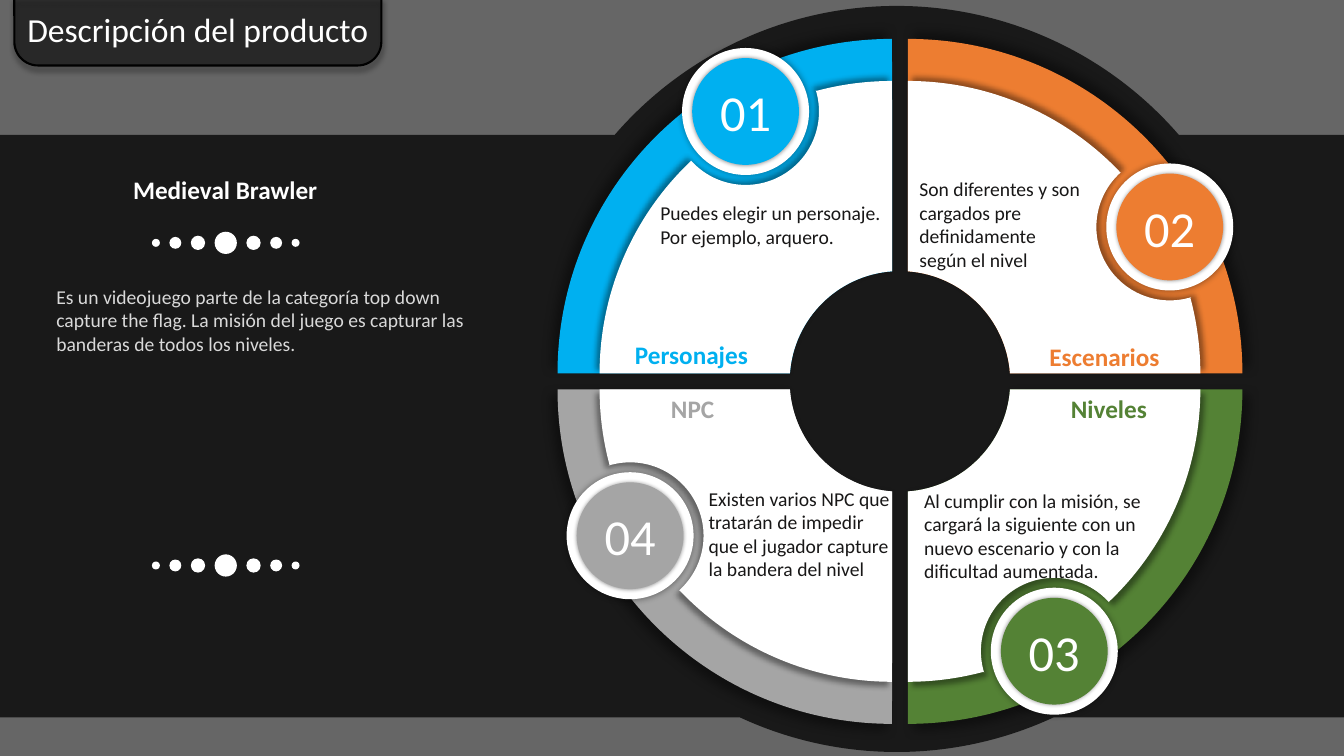
import math
from dataclasses import dataclass
from itertools import islice

from lxml import etree
from pptx import Presentation
from pptx.dml.color import RGBColor
from pptx.enum import shapes, text
from pptx.oxml.ns import qn
from pptx.util import Cm, Pt


@dataclass(frozen=True)
class Theme:
    font: str = "Calibri"
    page: str = "666666"
    black: str = "000000"
    white: str = "FFFFFF"
    ink: str = "181717"
    pale: str = "D9D9D9"
    blue: str = "00B0F0"
    orange: str = "ED7D31"
    green: str = "548235"
    gray: str = "A5A5A5"
    body: int = 14
    label: int = 18
    title: int = 24
    number: int = 36


T = Theme()


def arc(x, y, radius, start, end):
    """Segments of an arc: a start point, then Bézier triples; degrees run clockwise."""
    count = math.ceil(abs(end - start) / 90)
    step = math.radians(end - start) / count
    k = 4 / 3 * math.tan(step / 4)
    segments = []
    for i in range(count + 1):
        a = math.radians(start) + i * step
        c, n = radius * math.cos(a), radius * math.sin(a)
        if i:
            segments.append([leave, (x + c + k * n, y + n - k * c), (x + c, y + n)])
        else:
            segments.append([(x + c, y + n)])
        leave = (x + c - k * n, y + n + k * c)
    return segments


def paint(sp, color, alpha=100, shadow=None):
    """Fill without outline; shadow is (blur, distance, direction)."""
    sp.fill.solid()
    sp.fill.fore_color.rgb = RGBColor.from_string(color)
    sp.line.fill.background()
    sp.shadow.inherit = False
    spPr = sp.element.spPr
    if alpha < 100:
        clr = spPr.find(qn("a:solidFill")).find(qn("a:srgbClr"))
        etree.SubElement(clr, qn("a:alpha"), val=str(alpha * 1000))
    if shadow:
        blur, distance, direction = shadow
        outer = etree.SubElement(
            spPr.find(qn("a:effectLst")), qn("a:outerShdw"), blurRad=str(Pt(blur)),
            dist=str(Pt(distance)), dir=str(direction * 60000), algn="ctr", rotWithShape="0")
        clr = etree.SubElement(outer, qn("a:srgbClr"), val=T.black)
        etree.SubElement(clr, qn("a:alpha"), val="40000")


prs = Presentation()
prs.slide_width, prs.slide_height = Cm(33.87), Cm(19.05)
s = prs.slides.add_slide(prs.slide_layouts[5])
s.background.fill.solid()
s.background.fill.fore_color.rgb = RGBColor.from_string(T.page)

# Backdrop: a wide band merged with a disc
DISC_X, DISC_Y, DISC_R = 22.6, 9.55, 9.4
BAND_TOP, BAND_BOTTOM = 3.4, 18.08
top_angle = math.degrees(math.asin((DISC_Y - BAND_TOP) / DISC_R))
bottom_angle = math.degrees(math.asin((BAND_BOTTOM - DISC_Y) / DISC_R))
backdrop = [[(0, BAND_TOP)], *arc(DISC_X, DISC_Y, DISC_R, 180 + top_angle, 360 - top_angle),
            [(33.87, BAND_TOP)], [(33.87, BAND_BOTTOM)],
            *arc(DISC_X, DISC_Y, DISC_R, bottom_angle, 180 - bottom_angle), [(0, BAND_BOTTOM)]]
outlines = [(backdrop, T.black, 75, None)]

# Upper left quarter, measured from the hub; the others are turned by 90 degrees
HUB_X, HUB_Y, GAP = 22.68, 9.61, 0.2
BADGE_X, BADGE_Y = -3.89, -6.8
notch = arc(0, 0, 2.78, 265.9, 184.1)
ring = arc(-GAP, -GAP, 8.43, 180, 270) + notch
panel = (arc(-GAP, -GAP, 7.37, 180, 226.5) + arc(BADGE_X, BADGE_Y, 1.85, 138, -17)
         + arc(-GAP, -GAP, 7.37, 255, 270) + notch)
quarters = [T.blue, T.orange, T.green, T.gray]
badges = []
for i, color in enumerate(quarters):
    cos, sin = [(1, 0), (0, 1), (-1, 0), (0, -1)][i]
    ring_part, panel_part, badge = [
        [[(HUB_X + x * cos - y * sin, HUB_Y + x * sin + y * cos) for x, y in segment]
         for segment in part]
        for part in (ring, panel, [[(BADGE_X, BADGE_Y)]])]
    direction = (225 + 90 * i) % 360
    outlines += [(ring_part, color, 100, (8, 6, direction)),
                 (panel_part, T.white, 100, (4, 4, direction))]
    badges += badge[0]

for segments, color, alpha, shadow in outlines:
    pts = [(Cm(x), Cm(y)) for segment in segments for x, y in segment]
    builder = s.shapes.build_freeform(*pts[0])
    builder.add_line_segments(pts[1:], close=True)
    sp = builder.convert_to_shape()
    paint(sp, color, alpha, shadow)
    # Merge the three lines of each Bézier triple into one curve
    trace = next(sp.element.spPr.iter(qn("a:path")))
    lines = iter(trace.findall(qn("a:lnTo")))
    for segment in segments[1:]:
        first, *rest = islice(lines, len(segment))
        if rest:
            curve = etree.Element(qn("a:cubicBezTo"))
            trace.replace(first, curve)
            curve.append(first[0])
            for line in rest:
                curve.append(line[0])
                trace.remove(line)

# Numbered badges
for i, ((x, y), color) in enumerate(zip(badges, quarters), 1):
    group = s.shapes.add_group_shape()
    for size, fill, blur in ((3.2, T.white, 5), (2.69, color, 3)):
        sp = group.shapes.add_shape(shapes.MSO_SHAPE.OVAL, Cm(x - size / 2), Cm(y - size / 2),
                                    Cm(size), Cm(size))
        paint(sp, fill, shadow=(blur, 0, 0))
    tf = sp.text_frame
    tf.vertical_anchor = text.MSO_ANCHOR.MIDDLE
    p = tf.paragraphs[0]
    p.text = f"{i:02}"
    p.alignment = text.PP_ALIGN.CENTER
    p.font.name, p.font.size = T.font, Pt(T.number)
    p.font.color.rgb = RGBColor.from_string(T.white)

# Rows of dots, symmetric about the middle one
DOTS_X = 5.69
for y in (6.12, 14.25):
    group = s.shapes.add_group_shape()
    for offset, size in ((0, 0.56), (0.7, 0.36), (1.27, 0.3), (1.76, 0.2)):
        for dx in {offset, -offset}:
            sp = group.shapes.add_shape(shapes.MSO_SHAPE.OVAL, Cm(DOTS_X + dx - size / 2),
                                        Cm(y - size / 2), Cm(size), Cm(size))
            paint(sp, T.white)

# Title tab hanging from the top edge
tab = s.shapes.add_shape(shapes.MSO_SHAPE.ROUND_2_SAME_RECTANGLE,
                         Cm(0.36), Cm(-0.05), Cm(9.25), Cm(1.7))
tab.rotation = 180
tab.adjustments[0] = 0.352
paint(tab, T.black, 50, (4, 3, 90))
tab.line.color.rgb = RGBColor.from_string(T.black)
tab.line.width = Pt(1.5)
title = s.shapes.title
s.shapes.element.append(title.element)
title.left, title.top, title.width, title.height = Cm(0.36), Cm(0.1), Cm(9.25), Cm(1.27)

LEFT, CENTER = text.PP_ALIGN.LEFT, text.PP_ALIGN.CENTER
TOP, MIDDLE = text.MSO_ANCHOR.TOP, text.MSO_ANCHOR.MIDDLE
WIDE, SLIM = (0.25, 0.13), (0.18, 0.09)
descriptions = [
    ((16.46, 4.98, 6.12, 1.37), "Puedes elegir un personaje. Por ejemplo, arquero."),
    ((22.99, 4.37, 4.5, 2.57), "Son diferentes y son cargados pre definidamente según el nivel"),
    ((23.11, 12.22, 6.12, 2.57), "Al cumplir con la misión, se cargará la siguiente con un "
                                 "nuevo escenario y con la dificultad aumentada."),
    ((17.68, 12.17, 4.95, 2.57), "Existen varios NPC que tratarán de impedir que el jugador "
                                 "capture la bandera del nivel"),
]
labels = [(14.96, 8.46, "Personajes"), (25.37, 8.51, "Escenarios"),
          (25.48, 9.83, "Niveles"), (14.99, 9.83, "NPC")]
texts = [(box, words, T.body, T.ink, LEFT, TOP, SLIM) for box, words in descriptions]
texts += [((x, y, 4.93, 0.94), words, T.label, color, CENTER, TOP, SLIM)
          for (x, y, words), color in zip(labels, quarters)]
texts += [
    ((2.64, 4.11, 6.07, 1.35), "Medieval Brawler", T.label, T.white, CENTER, MIDDLE, (0, 0)),
    ((1.17, 7.04, 11.2, 2.06), "Es un videojuego parte de la categoría top down capture the flag. "
     "La misión del juego es capturar las banderas de todos los niveles.",
     T.body, T.pale, LEFT, TOP, WIDE),
    (None, "Descripción del producto", T.title, T.white, CENTER, TOP, WIDE),
]
for box, words, size, color, align, anchor, (side, edge) in texts:
    sp = s.shapes.add_textbox(*[Cm(v) for v in box]) if box else title
    tf = sp.text_frame
    tf.word_wrap = True
    tf.auto_size = text.MSO_AUTO_SIZE.NONE
    tf.vertical_anchor = anchor
    tf.margin_left = tf.margin_right = Cm(side)
    tf.margin_top = tf.margin_bottom = Cm(edge)
    p = tf.paragraphs[0]
    p.text = words
    p.alignment = align
    p.font.name, p.font.size, p.font.bold = T.font, Pt(size), size == T.label
    p.font.color.rgb = RGBColor.from_string(color)

prs.save("out.pptx")
